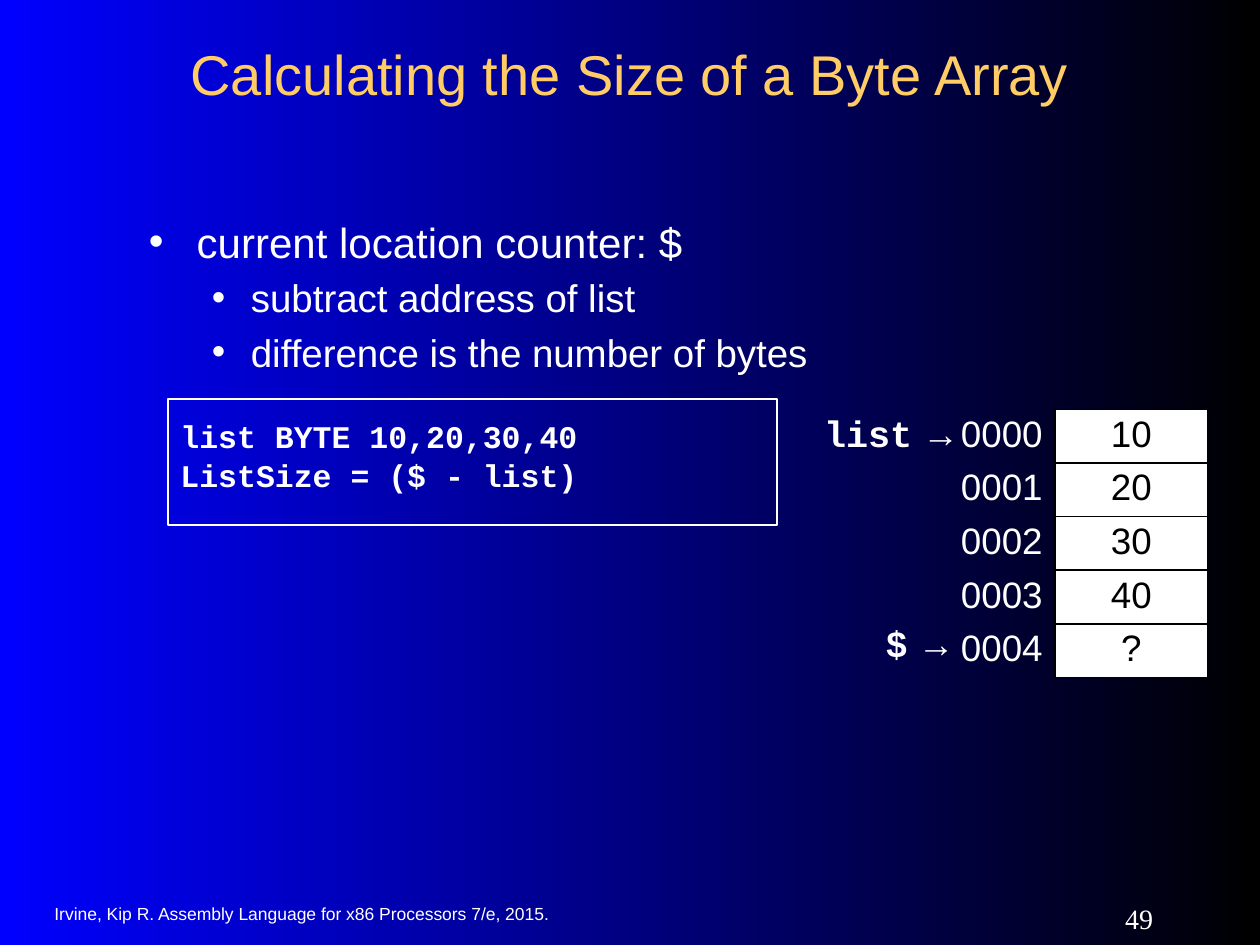
from lxml import etree
from pptx import Presentation
from pptx.dml.color import RGBColor
from pptx.enum.shapes import MSO_SHAPE
from pptx.enum.text import MSO_ANCHOR, PP_ALIGN
from pptx.oxml.ns import qn
from pptx.util import Inches, Pt

LEFT, CENTER, RIGHT = PP_ALIGN.LEFT, PP_ALIGN.CENTER, PP_ALIGN.RIGHT
TOP, MIDDLE = MSO_ANCHOR.TOP, MSO_ANCHOR.MIDDLE
RECTANGLE = MSO_SHAPE.RECTANGLE
COLORS = {"start": "0000FF", "end": "000000", "title": "FFCC66",
          "light": "FFFFFF", "dark": "000000"}
SANS, MONO, SERIF = "Arial", "Courier New", "Times New Roman"
UNIT = Inches(1) // 12


def rgb(name):
    return RGBColor.from_string(COLORS[name])


def grid(*cells):
    return [round(cell * UNIT) for cell in cells]


def add_span(para, text, size, font=SANS, color="light", bold=False):
    span = para.add_run()
    span.text = text
    span.font.size = Pt(size)
    span.font.name = font
    span.font.bold = bold
    span.font.color.rgb = rgb(color)


def set_frame(frame, anchor=TOP, wrap=True, inset=0.05):
    frame.word_wrap = wrap
    frame.vertical_anchor = anchor
    frame.margin_left = frame.margin_right = Inches(0.1)
    frame.margin_top = frame.margin_bottom = Inches(inset)


def next_para(frame, index):
    return frame.add_paragraph() if index else frame.paragraphs[0]


def add_text(page, cells, spans, align=LEFT, anchor=TOP, wrap=True):
    box = page.shapes.add_textbox(*grid(*cells))
    set_frame(box.text_frame, anchor, wrap)
    para = box.text_frame.paragraphs[0]
    para.alignment = align
    for span in spans:
        add_span(para, *span)


def set_background(page):
    fill = page.background.fill
    fill.gradient()
    fill.gradient_angle = 0
    for stop, position, name in zip(fill.gradient_stops, (0, 1), ("start", "end")):
        stop.position = position
        stop.color.rgb = rgb(name)


def set_title(page, cells, text):
    title = page.shapes.title
    title.left, title.top, title.width, title.height = grid(*cells)
    set_frame(title.text_frame, MIDDLE)
    para = title.text_frame.paragraphs[0]
    para.alignment = CENTER
    add_span(para, text, 32, color="title")


def add_bullets(page, cells, items):
    box = page.shapes.add_textbox(*grid(*cells))
    set_frame(box.text_frame)
    styles = [(24, 0.38, 0.38), (22, 0.81, 0.31)]
    for index, (level, text) in enumerate(items):
        size, margin, hanging = styles[level]
        para = next_para(box.text_frame, index)
        para.level = level
        para.space_before = Pt(4.5)
        props = para._p.get_or_add_pPr()
        props.set("marL", str(Inches(margin)))
        props.set("indent", str(-Inches(hanging)))
        etree.SubElement(props, qn("a:buFont"), typeface=SANS)
        etree.SubElement(props, qn("a:buChar"), char="\u2022")
        add_span(para, text, size)


def add_code(page, cells, lines):
    box = page.shapes.add_shape(RECTANGLE, *grid(*cells))
    box.shadow.inherit = False
    box.fill.background()
    box.line.color.rgb = rgb("light")
    box.line.width = Pt(0.75)
    set_frame(box.text_frame, inset=0.25)
    for index, line in enumerate(lines):
        para = next_para(box.text_frame, index)
        para.alignment = LEFT
        para.line_spacing = 0.6
        para.space_before = Pt(9.5)
        add_span(para, line, 18, MONO, bold=True)


def add_borders(cell):
    props = cell._tc.get_or_add_tcPr()
    for index, side in enumerate(("lnL", "lnR", "lnT", "lnB")):
        line = etree.Element(qn("a:" + side), w=str(Pt(1)))
        fill = etree.SubElement(line, qn("a:solidFill"))
        etree.SubElement(fill, qn("a:srgbClr"), val=COLORS["dark"])
        props.insert(index, line)


def add_memory(page, cells, values):
    frame = page.shapes.add_table(len(values), 2, *grid(*cells))
    table = frame.table
    table.first_row = table.horz_banding = False
    style = table._tbl.tblPr.find(qn("a:tableStyleId"))
    style.text = "{2D5ABB26-0587-4C30-8999-92F81FD0307C}"
    for address, value in enumerate(values):
        label, content = table.rows[address].cells
        for cell, text, align, color in ((label, f"{address:04d}", RIGHT, "light"),
                                         (content, value, CENTER, "dark")):
            cell.margin_top = cell.margin_bottom = Pt(2.7)
            para = cell.text_frame.paragraphs[0]
            para.alignment = align
            add_span(para, text, 21, color=color)
        label.fill.background()
        content.fill.solid()
        content.fill.fore_color.rgb = rgb("light")
        add_borders(content)


def add_pointer(page, cells, name, align):
    spans = [(name, 21, MONO, "light", True), (" \u2192", 21)]
    add_text(page, cells, spans, align, wrap=False)


def main():
    deck = Presentation()
    deck.slide_width, deck.slide_height = grid(120, 90)
    page = deck.slides.add_slide(deck.slide_layouts[5])
    set_background(page)
    add_text(page, (4, 85, 62, 4),
             [("Irvine, Kip R. Assembly Language for x86 Processors 7/e, 2015.", 10)],
             anchor=MIDDLE)
    add_text(page, (98, 85, 13, 5), [("49", 16, SERIF)], RIGHT, MIDDLE)
    set_title(page, (9, 3, 102, 8), "Calculating the Size of a Byte Array")
    add_bullets(page, (13, 20, 85, 21), [
        (0, "current location counter: $"),
        (1, "subtract address of list"),
        (1, "difference is the number of bytes")])
    add_code(page, (16, 38, 58, 12),
             ["list BYTE 10,20,30,40", "ListSize = ($ - list)"])
    add_memory(page, (86, 39, 29, 24.4), ["10", "20", "30", "40", "?"])
    add_pointer(page, (77.3, 38.5, 15.6, 5.4), "list", LEFT)
    add_pointer(page, (82.8, 58.5, 9.3, 5.4), "$", RIGHT)
    deck.save("out.pptx")


main()
